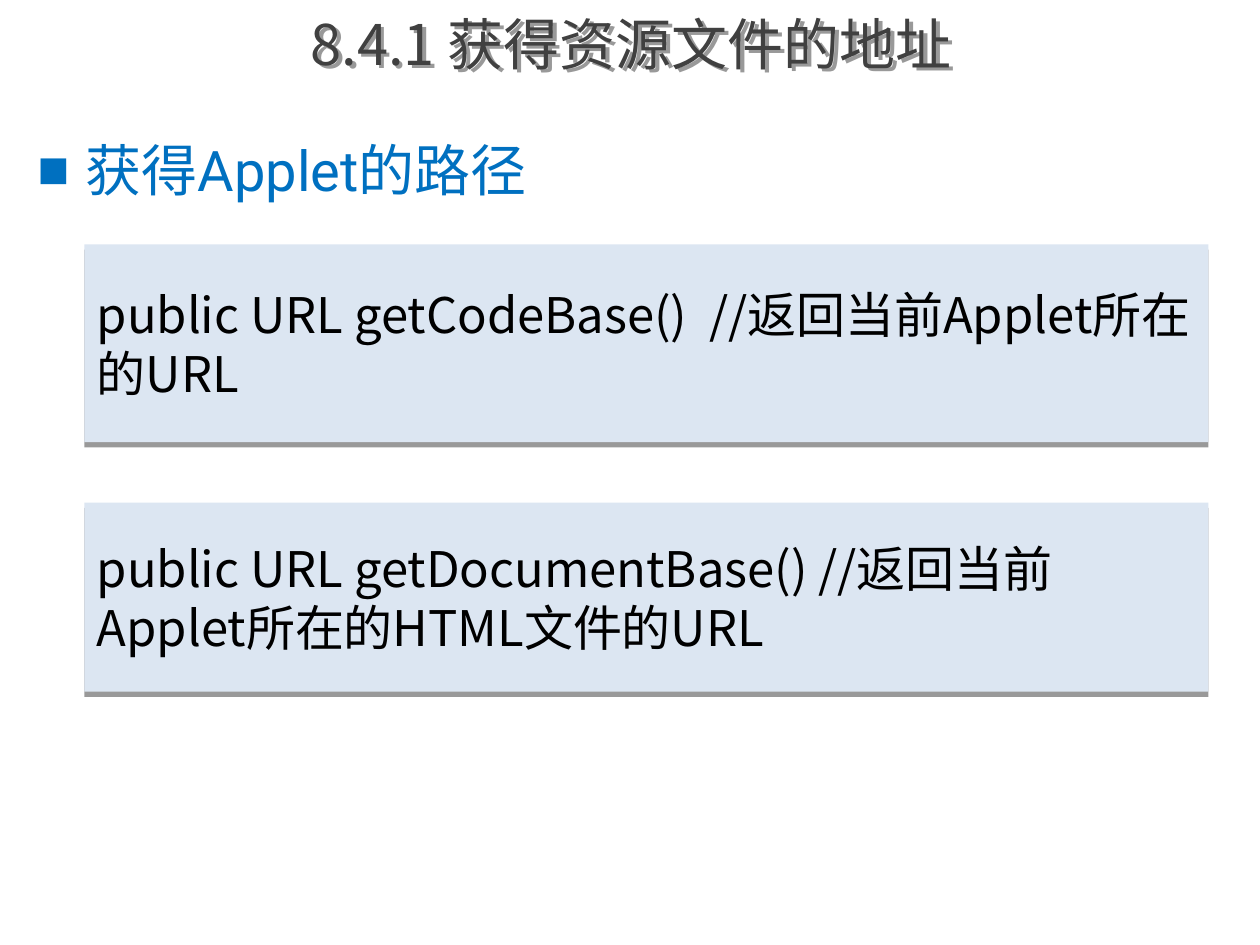
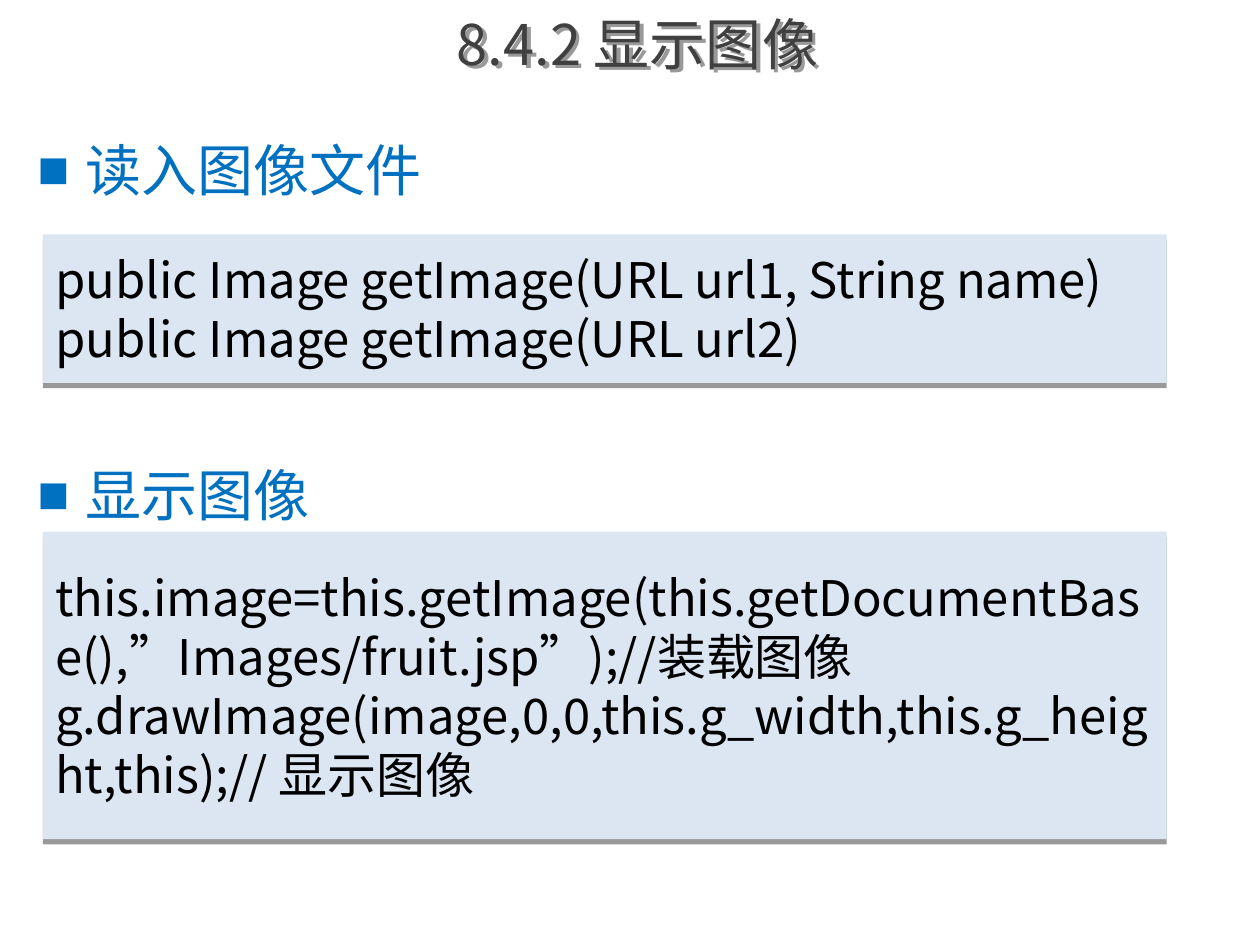
import pptx
import pptx.dml.color
import pptx.enum.lang
import pptx.enum.shapes
import pptx.enum.text
import pptx.oxml
import pptx.oxml.ns
import pptx.util

Pt = pptx.util.Pt
ALIGN = pptx.enum.text.PP_ALIGN
ANCHOR = pptx.enum.text.MSO_ANCHOR

CJK_FONT = "Noto Sans CJK SC"
HEADING_FONT = "Roboto"
TITLE_COLOR = "404040"
HEADING_COLOR = "0070C0"
CODE_FILL = "DCE6F2"
CODE_COLOR = "000000"
HEADING_SIZE = 32
CODE_SIZE = 28
LINE_FACTOR = 1.2
CODE_WIDTH = 642.24
HEADING_TOP = 74


def color(hex_string):
    return pptx.dml.color.RGBColor.from_string(hex_string)


def xml_element(markup):
    namespace = pptx.oxml.ns.nsdecls("a")
    return pptx.oxml.parse_xml(markup.replace(">", f" {namespace}>", 1))


def add_shadow(shape, direction):
    shape.shadow.inherit = False
    effects = shape._element.spPr.find(pptx.oxml.ns.qn("a:effectLst"))
    effects.append(xml_element(
        f'<a:outerShdw blurRad="0" dist="{Pt(3)}" dir="{direction * 60000}" '
        'algn="tl" rotWithShape="0"><a:srgbClr val="000000">'
        '<a:alpha val="40000"/></a:srgbClr></a:outerShdw>'))


def add_bullet(paragraph):
    properties = paragraph._element.get_or_add_pPr()
    indent = Pt(27.36)
    properties.set("marL", str(indent))
    properties.set("indent", str(-indent))
    for markup in (
        f'<a:buClr><a:srgbClr val="{HEADING_COLOR}"/></a:buClr>',
        '<a:buSzPct val="60000"></a:buSzPct>',
        f'<a:buFont typeface="{HEADING_FONT}"></a:buFont>',
        '<a:buChar char="■"></a:buChar>',
    ):
        properties.append(xml_element(markup))


def write_text(shape, text, *, size, ink, font=CJK_FONT, align=ALIGN.LEFT,
               anchor=ANCHOR.TOP, line_height=None, bullet=False):
    frame = shape.text_frame
    frame.word_wrap = True
    frame.vertical_anchor = anchor
    frame.text = text
    for paragraph in frame.paragraphs:
        paragraph.alignment = align
        if line_height:
            paragraph.line_spacing = Pt(line_height)
        if bullet:
            add_bullet(paragraph)
        for run in paragraph.runs:
            run.font.size = Pt(size)
            run.font.name = font
            run.font.color.rgb = color(ink)
            run.font.language_id = pptx.enum.lang.MSO_LANGUAGE_ID.SIMPLIFIED_CHINESE
            latin = run.font._element.find(pptx.oxml.ns.qn("a:latin"))
            latin.addnext(xml_element(f'<a:ea typeface="{CJK_FONT}"></a:ea>'))


def add_title(slide, text):
    title = slide.shapes.add_textbox(Pt(51.84), Pt(0), Pt(624.96), Pt(48.96))
    write_text(title, text, size=HEADING_SIZE, ink=TITLE_COLOR,
               align=ALIGN.CENTER, anchor=ANCHOR.MIDDLE)
    add_shadow(title, 45)


def add_heading(slide, text, top=HEADING_TOP):
    heading = slide.shapes.add_textbox(Pt(14.4), Pt(top), Pt(691.92), Pt(46))
    write_text(heading, text, size=HEADING_SIZE, ink=HEADING_COLOR,
               font=HEADING_FONT, line_height=HEADING_SIZE * LINE_FACTOR,
               bullet=True)


def add_code(slide, text, left, top, height):
    panel = slide.shapes.add_shape(
        pptx.enum.shapes.MSO_SHAPE.RECTANGLE,
        Pt(left), Pt(top), Pt(CODE_WIDTH), Pt(height))
    panel.fill.solid()
    panel.fill.fore_color.rgb = color(CODE_FILL)
    panel.line.fill.background()
    add_shadow(panel, 90)
    write_text(panel, text, size=CODE_SIZE, ink=CODE_COLOR,
               anchor=ANCHOR.MIDDLE, line_height=CODE_SIZE * LINE_FACTOR)


def add_slide(presentation, title):
    slide = presentation.slides.add_slide(presentation.slide_layouts[6])
    add_title(slide, title)
    return slide


def build_resource_address(presentation):
    slide = add_slide(presentation, "8.4.1 获得资源文件的地址 ")
    add_heading(slide, "获得Applet的路径")
    left = 48.24
    add_code(slide, "public URL getCodeBase()  //返回当前Applet所在的URL",
             left, 139.68, 113.04)
    add_code(slide, "public URL getDocumentBase() //返回当前Applet所在的HTML文件的URL",
             left, 287.28, 108)


def build_image_display(presentation):
    slide = add_slide(presentation, "8.4.2 显示图像")
    add_heading(slide, "读入图像文件")
    add_heading(slide, "显示图像", HEADING_TOP + 185.7)
    left = 24.48
    add_code(slide, "public Image getImage(URL url1, String name) "
             "public Image getImage(URL url2)", left, 133.92, 84.96)
    add_code(slide, "this.image=this.getImage(this.getDocumentBase(),"
             "”Images/fruit.jsp”);//装载图像\n"
             "g.drawImage(image,0,0,this.g_width,this.g_height,this);// 显示图像",
             left, 303.84, 175.68)


def main():
    presentation = pptx.Presentation()
    presentation.slide_width = Pt(720)
    presentation.slide_height = Pt(540)
    build_resource_address(presentation)
    build_image_display(presentation)
    presentation.save("out.pptx")


if __name__ == "__main__":
    main()
